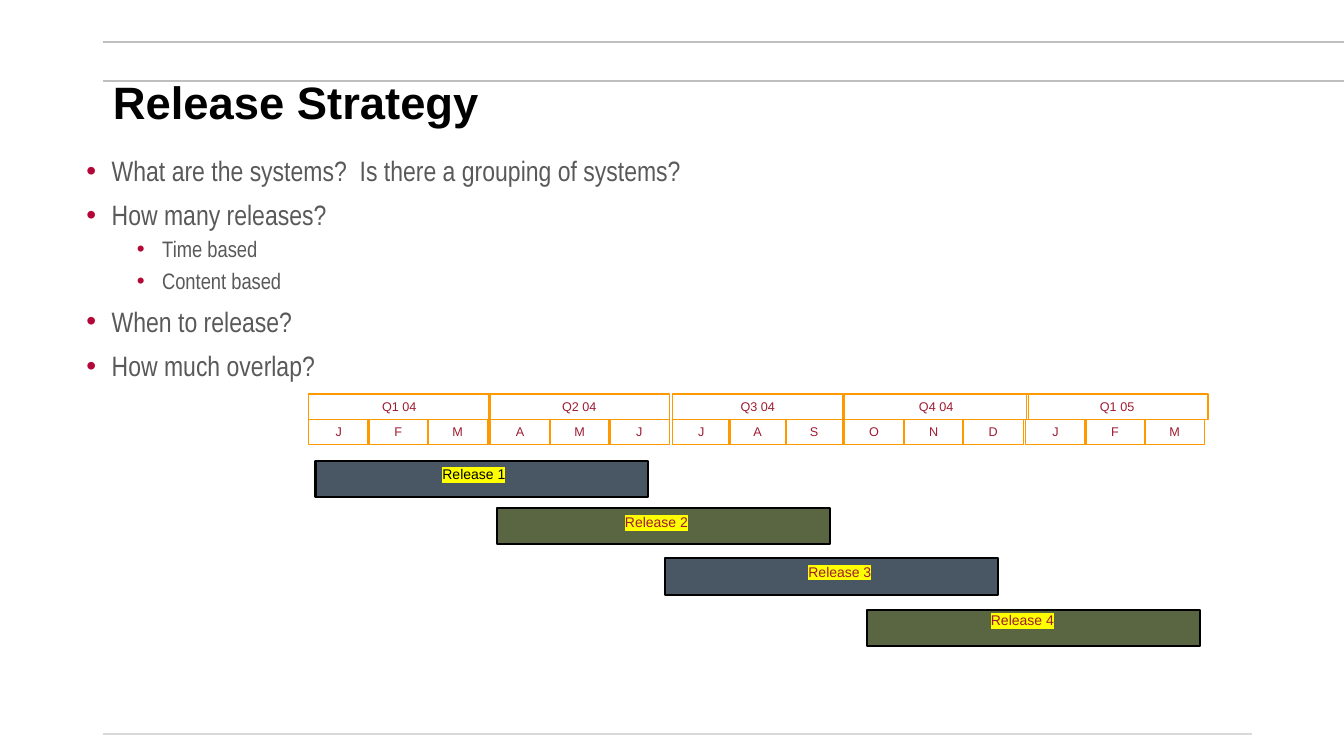
import pptx
import pptx.util
import pptx.dml.color
import pptx.enum.shapes
import pptx.enum.text
import pptx.oxml
import pptx.oxml.ns

PX = 9144  # EMU per px, 100 px to the inch
ALIGN = pptx.enum.text.PP_ALIGN
ANCHOR = pptx.enum.text.MSO_ANCHOR


def px(*values):
    return [pptx.util.Emu(v * PX) for v in values]


def rgb(value):
    return pptx.dml.color.RGBColor.from_string(value)


def add_xml(parent, xml):
    ns = pptx.oxml.ns.nsdecls("a")
    parent.append(pptx.oxml.parse_xml(xml.replace("/>", f" {ns}/>", 1)
                                      if xml.count("<") == 1
                                      else xml.replace(">", f" {ns}>", 1)))


class Deck:
    FONT, BODY_FONT = "Arial", "Arial Narrow"
    BLACK, GREY, RED, ORANGE = "000000", "595959", "9E1B32", "FF9900"
    BULLET, MARKER = "B30738", "FFFF00"

    def __init__(self, width, height):
        self.prs = pptx.Presentation()
        self.prs.slide_width, self.prs.slide_height = px(width, height)
        self.s = self.prs.slides.add_slide(self.prs.slide_layouts[5])

    def style(self, p, size, color, font=FONT, bold=False, align=ALIGN.LEFT):
        p.alignment = align
        p.font.size, p.font.name, p.font.bold = pptx.util.Pt(size), font, bold
        p.font.color.rgb = rgb(color)

    def line(self, x1, x2, y, color):
        sp = self.s.shapes.add_connector(
            pptx.enum.shapes.MSO_CONNECTOR.STRAIGHT, *px(x1, y, x2, y))
        sp.line.color.rgb = rgb(color)
        sp.line.width = pptx.util.Pt(1.5)
        add_xml(sp._element.spPr, "<a:effectLst/>")

    def title(self, text, *box):
        sp = self.s.shapes.title
        sp.left, sp.top, sp.width, sp.height = px(*box)
        tf = sp.text_frame
        tf.text = text
        tf.auto_size = pptx.enum.text.MSO_AUTO_SIZE.NONE
        tf.vertical_anchor = ANCHOR.MIDDLE
        p = tf.paragraphs[0]
        p.line_spacing = 0.9
        self.style(p, 32.4, self.BLACK, bold=True)

    def bullets(self, items, *box):
        tf = self.s.shapes.add_textbox(*px(*box)).text_frame
        tf.word_wrap = True
        for n, (level, text) in enumerate(items):
            p = tf.add_paragraph() if n else tf.paragraphs[0]
            p.text, p.level, p.line_spacing = text, level, 0.9
            p.space_before = pptx.util.Pt(5 if level else 10)
            pPr = p._p.get_or_add_pPr()
            indent, margin = px(-25, 75 if level else 25)
            pPr.set("marL", str(margin))
            pPr.set("indent", str(indent))
            add_xml(pPr, f'<a:buClr><a:srgbClr val="{self.BULLET}"/></a:buClr>')
            add_xml(pPr, '<a:buFont typeface="Arial"/>')
            add_xml(pPr, '<a:buChar char="•"/>')
            self.style(p, 16 if level else 20, self.GREY, self.BODY_FONT)

    def rect(self, box, line, weight, fill=None):
        sp = self.s.shapes.add_shape(
            pptx.enum.shapes.MSO_SHAPE.RECTANGLE, *px(*box))
        sp.shadow.inherit = False
        sp.line.color.rgb = rgb(line)
        sp.line.width = pptx.util.Pt(weight)
        if fill:
            sp.fill.solid()
            sp.fill.fore_color.rgb = rgb(fill)
        else:
            sp.fill.background()
        return sp

    def cell(self, text, *box):
        tf = self.rect(box, self.ORANGE, 1).text_frame
        tf.text = text
        tf.word_wrap = True
        tf.vertical_anchor = ANCHOR.MIDDLE
        tf.margin_left, tf.margin_top = tf.margin_right, tf.margin_bottom = px(9, 4)
        self.style(tf.paragraphs[0], 9, self.RED, align=ALIGN.CENTER)

    def marked_label(self, text, color, *box):
        tf = self.s.shapes.add_textbox(*px(*box)).text_frame
        tf.text = text
        tf.word_wrap = True
        p = tf.paragraphs[0]
        self.style(p, 10, color, align=ALIGN.CENTER)
        add_xml(p.runs[0]._r.get_or_add_rPr(),
                f'<a:highlight><a:srgbClr val="{self.MARKER}"/></a:highlight>')


def main():
    deck = Deck(1333, 750)

    # Frame lines
    deck.line(102, 1333, 80, "BFBFBF")
    deck.line(102, 1333, 42, "BFBFBF")
    deck.line(102, 1242, 728, "D9D9D9")

    # Title and questions
    deck.title("Release Strategy", 102, 84, 1139, 39)
    deck.bullets([
        (0, "What are the systems?  Is there a grouping of systems?"),
        (0, "How many releases?"),
        (1, "Time based"),
        (1, "Content based"),
        (0, "When to release?"),
        (0, "How much overlap?"),
    ], 76, 151, 1190, 534)

    # Calendar: quarter, its left and width, months, their left and width
    for quarter, left, width, months, month_left, month_width in [
        ("Q1 04", 306, 180, "JFM", 306, 60),
        ("Q2 04", 485, 179, "AMJ", 486, 60),
        ("Q3 04", 667, 169, "JAS", 667, 57),
        ("Q4 04", 837, 183, "OND", 837, 60),
        ("Q1 05", 1018, 180, "JFM", 1017, 60),
    ]:
        for i, month in enumerate(months):
            deck.cell(month, month_left + i * (month_width - 1), 416,
                      month_width, 25)
        deck.cell(quarter, left, 391, width, 25)

    # Release bars: left, top, fill, then label left, top and colour
    for n, (left, top, fill, label_left, label_top, color) in enumerate([
        (313, 457, "495764", 363, 457, deck.BLACK),
        (493, 504, "596641", 544, 505, deck.RED),
        (660, 554, "495764", 726, 554, deck.RED),
        (860, 605, "596641", 907, 602, deck.RED),
    ], 1):
        deck.rect((left, top, 330, 36), deck.BLACK, 1.5, fill)
        deck.marked_label(f"Release {n}", color, label_left, label_top, 214, 27)

    deck.prs.save("out.pptx")


if __name__ == "__main__":
    main()
